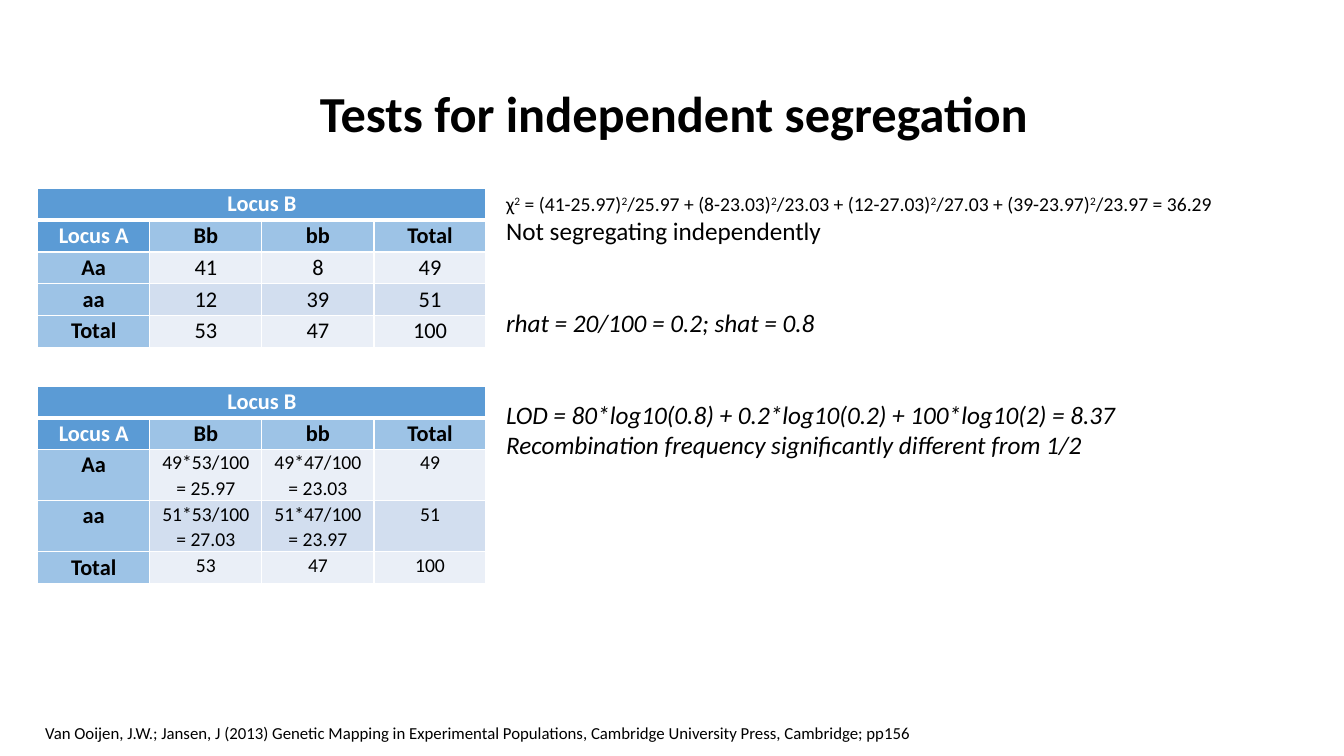
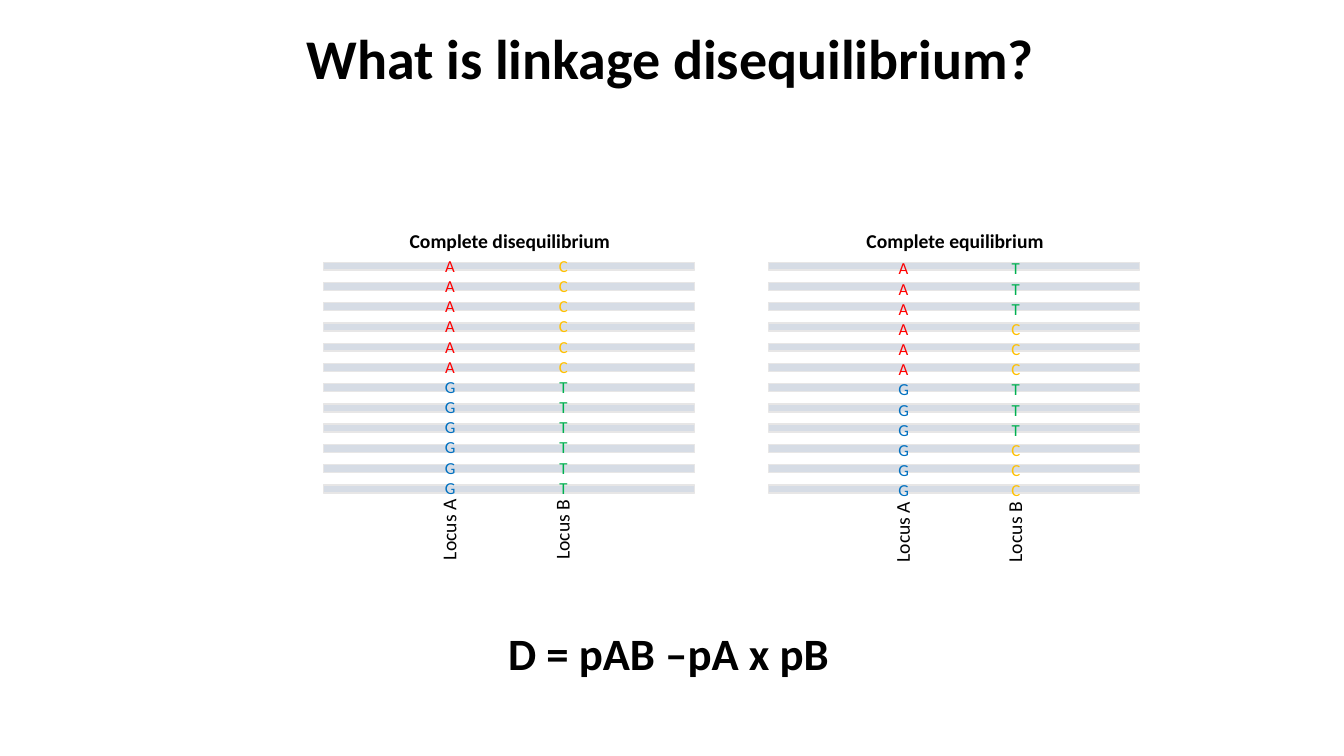
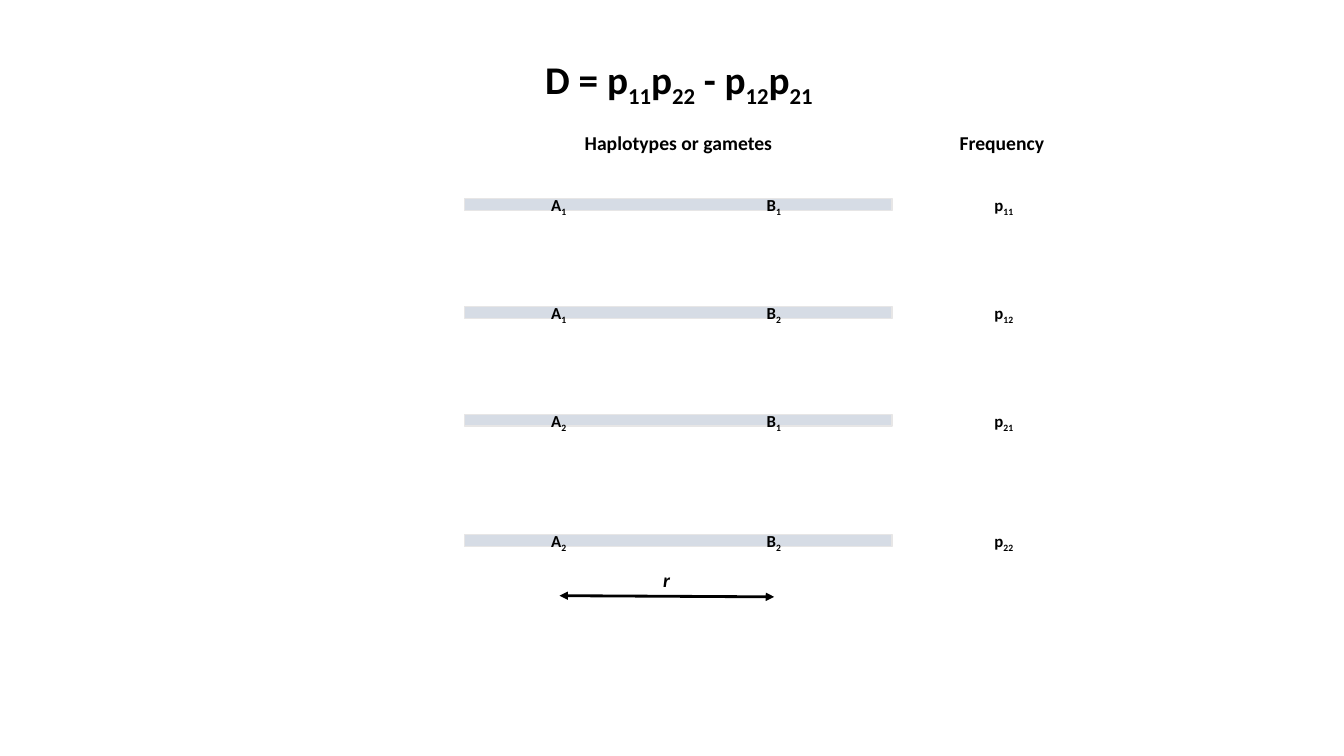
from dataclasses import dataclass, field

from lxml import etree
from pptx import Presentation
from pptx.dml.color import RGBColor
from pptx.enum.shapes import MSO_CONNECTOR, MSO_SHAPE
from pptx.enum.text import MSO_ANCHOR, MSO_AUTO_SIZE, PP_ALIGN
from pptx.oxml.ns import qn
from pptx.util import Cm, Pt

LEFT, CENTER = PP_ALIGN.LEFT, PP_ALIGN.CENTER
TOP, MIDDLE = MSO_ANCHOR.TOP, MSO_ANCHOR.MIDDLE
FIT, FIXED = MSO_AUTO_SIZE.SHAPE_TO_FIT_TEXT, MSO_AUTO_SIZE.NONE
RECT, STRAIGHT = MSO_SHAPE.RECTANGLE, MSO_CONNECTOR.STRAIGHT
TEXT_PAGE, TITLE_PAGE = 1, 5  # layouts: title and content, title only
SUPER, SUB = 30, -25  # raised and lowered text, percent


@dataclass(frozen=True)
class Theme:
    font: str = "Calibri"
    ink: str = "000000"
    white: str = "FFFFFF"
    head: str = "5B9BD5"
    side: str = "9DC3E6"
    bands: tuple = ("EAEFF7", "D2DEEF")
    bar: str = "D6DCE5"
    edge: str = "E7E6E6"
    bases: dict = field(default_factory=lambda: {
        "A": "FF0000", "G": "0070C0", "C": "FFC000", "T": "00B050"})
    small: int = 12
    label: int = 14
    cell: int = 16
    text: int = 18
    lesser: int = 28
    sum: int = 32
    title: int = 36
    major: int = 40


THEME = Theme()


# Text
def write(par, text, size, color=THEME.ink, bold=False, italic=False,
          shift=SUB):
    """Add runs; every second part between bars is raised or lowered."""
    for i, part in enumerate(text.split("|")):
        run = par.add_run()
        run.text = part
        font = run.font
        font.name, font.size = THEME.font, Pt(size)
        font.bold, font.italic = bold, italic
        font.color.rgb = RGBColor.from_string(color)
        if i % 2:
            run._r.get_or_add_rPr().set("baseline", str(shift * 1000))


def place(shape, x, y, w, h):
    shape.left, shape.top, shape.width, shape.height = map(Cm, (x, y, w, h))


def add_title(slide, text, size, box):
    title = slide.shapes.title
    place(title, *box)
    frame = title.text_frame
    frame.auto_size, frame.word_wrap = FIXED, False
    frame.vertical_anchor = MIDDLE
    par = frame.paragraphs[0]
    par.alignment = CENTER
    write(par, text, size, bold=True)


def add_body(slide, lines, box):
    """Fill the body with unmarked lines: text, size, italic, space before."""
    body = slide.placeholders[1]
    place(body, *box)
    frame = body.text_frame
    frame.auto_size, frame.word_wrap = FIXED, True
    frame.vertical_anchor = TOP
    for i, (text, size, italic, gap) in enumerate(lines):
        par = frame.add_paragraph() if i else frame.paragraphs[0]
        props = par._p.get_or_add_pPr()
        props.set("marL", "0")
        props.set("indent", "0")
        etree.SubElement(props, qn("a:buNone"))
        par.space_before = Pt(gap)
        write(par, text, size, italic=italic, shift=SUPER)


def add_box(shapes, box, align=CENTER):
    shape = shapes.add_textbox(*map(Cm, box))
    frame = shape.text_frame
    frame.word_wrap, frame.auto_size = False, FIT
    frame.paragraphs[0].alignment = align
    return shape


def add_label(shapes, text, box, size=THEME.label, align=CENTER, turn=0,
              **style):
    shape = add_box(shapes, box, align)
    shape.rotation = turn
    write(shape.text_frame.paragraphs[0], text, size, **style)


# Shapes
def add_bar(shapes, x, y, w, h):
    bar = shapes.add_shape(RECT, *map(Cm, (x, y, w, h)))
    bar.shadow.inherit = False
    bar.fill.solid()
    bar.fill.fore_color.rgb = RGBColor.from_string(THEME.bar)
    bar.line.color.rgb = RGBColor.from_string(THEME.edge)
    bar.line.width = Pt(1)


def add_arrow(shapes, *ends):
    """Draw a line with an arrowhead at both ends."""
    arrow = shapes.add_connector(STRAIGHT, *map(Cm, ends))
    arrow.line.color.rgb = RGBColor.from_string(THEME.ink)
    arrow.line.width = Pt(2)
    line = arrow.get_or_add_ln()
    for end in ("a:headEnd", "a:tailEnd"):
        etree.SubElement(line, qn(end), type="triangle")
    etree.SubElement(arrow._element.spPr, qn("a:effectLst"))


# Table
def set_edges(cell, row):
    props = cell._tc.get_or_add_tcPr()
    thick = {("a:lnB", 0), ("a:lnT", 1)}  # rule under the head row
    for side in ("a:lnL", "a:lnR", "a:lnT", "a:lnB"):
        width = Pt(3 if (side, row) in thick else 1)
        line = etree.SubElement(props, qn(side), w=str(width))
        fill = etree.SubElement(line, qn("a:solidFill"))
        etree.SubElement(fill, qn("a:srgbClr"), val=THEME.white)


def add_cross(slide, y, rows, highs, size):
    """Add a two-locus table whose data cells have the given type size."""
    grid = [["Locus B", "", "", ""], ["Locus A", "Bb", "bb", "Total"], *rows]
    table = slide.shapes.add_table(
        len(grid), 4, *map(Cm, (0.95, y, 11.3, sum(highs)))).table
    table.horz_banding = table.first_row = False
    for row, high in zip(table.rows, highs):
        row.height = Cm(high)
    for r, texts in enumerate(grid):
        for c, text in enumerate(texts):
            cell = table.cell(r, c)
            top = r == 0 or (r, c) == (1, 0)
            head = r < 2 or c == 0
            fill = (THEME.head if top else THEME.side if head
                    else THEME.bands[r % 2])
            set_edges(cell, r)
            cell.fill.solid()
            cell.fill.fore_color.rgb = RGBColor.from_string(fill)
            cell.margin_left = cell.margin_right = Cm(0.18)
            cell.margin_top = cell.margin_bottom = 0
            par = cell.text_frame.paragraphs[0]
            par.alignment, par.line_spacing = CENTER, 1.07
            if text:
                write(par, text, THEME.cell if head else size,
                      THEME.white if top else THEME.ink, head)
    table.cell(0, 0).merge(table.cell(0, 3))


# Haplotype panel
def add_panel(slide, name, x, y, loci):
    """Draw twelve bars crossed by two columns of alleles."""
    shapes = slide.shapes.add_group_shape().shapes
    for i in range(12):
        add_bar(shapes, x, 6.61 + 0.51 * i, 9.35, 0.2)
    for locus, (mid, bases) in zip("AB", loci):
        column = add_box(shapes, (mid - 0.38, y, 0.76, 6.4)).text_frame
        for i, base in enumerate(bases):
            par = column.add_paragraph() if i else column.paragraphs[0]
            par.alignment = CENTER
            write(par, base, THEME.small, THEME.bases[base])
        add_label(shapes, f"Locus {locus}",
                  (mid - 1.06, y + 6.6, 2.06, 0.86), turn=270)
    add_label(shapes, name, (x + 1.9, 5.64, 5.6, 0.86), bold=True)


# Slides
def build_tests(deck):
    slide = deck.slides.add_slide(deck.slide_layouts[TEXT_PAGE])
    add_title(slide, "Tests for independent segregation", THEME.title,
              (3.3, 1.94, 27.38, 1.8))
    add_cross(slide, 4.75, [
        ["Aa", "41", "8", "49"],
        ["aa", "12", "39", "51"],
        ["Total", "53", "47", "100"],
    ], [0.8] * 5, THEME.cell)
    add_cross(slide, 9.73, [
        ["Aa", "49*53/100 = 25.97", "49*47/100 = 23.03", "49"],
        ["aa", "51*53/100 = 27.03", "51*47/100 = 23.97", "51"],
        ["Total", "53", "47", "100"],
    ], [0.8, 0.8, 1.23, 1.23, 0.8], THEME.label)
    add_body(slide, [
        ("χ|2| = (41-25.97)|2|/25.97 + (8-23.03)|2|/23.03 + "
         "(12-27.03)|2|/27.03 + (39-23.97)|2|/23.97 = 36.29",
         THEME.label, False, 0),
        ("Not segregating independently", THEME.text, False, 0),
        ("rhat = 20/100 = 0.2; shat = 0.8", THEME.text, True, 44),
        ("LOD = 80*log10(0.8) + 0.2*log10(0.2) + 100*log10(2) = 8.37",
         THEME.text, True, 44),
        ("Recombination frequency significantly different from 1/2",
         THEME.text, True, 0),
    ], (12.5, 4.71, 18.54, 7.77))
    add_label(slide.shapes, "Van Ooijen, J.W.; Jansen, J (2013) Genetic "
              "Mapping in Experimental Populations, Cambridge University "
              "Press, Cambridge; pp156", (0.89, 18.08, 22.45, 0.76),
              THEME.small, LEFT)


def build_linkage(deck):
    slide = deck.slides.add_slide(deck.slide_layouts[TITLE_PAGE])
    add_title(slide, "What is linkage disequilibrium?", THEME.major,
              (7.37, 0.46, 19.05, 1.96))
    add_label(slide.shapes, "D = pAB –pA x pB", (12.4, 15.65, 8.9, 1.63),
              THEME.sum, bold=True)
    first = "A" * 6 + "G" * 6
    add_panel(slide, "Complete disequilibrium", 8.15, 6.32,
              [(11.34, first), (14.2, "C" * 6 + "T" * 6)])
    add_panel(slide, "Complete equilibrium", 19.37, 6.38,
              [(22.77, first), (25.6, "TTTCCC" * 2)])


def build_gametes(deck):
    slide = deck.slides.add_slide(deck.slide_layouts[TITLE_PAGE])
    shapes = slide.shapes
    add_title(slide, "D = p|11|p|22| - p|12|p|21", THEME.lesser,
              (13.26, 1.35, 7.7, 1.45))
    add_label(shapes, "Haplotypes or gametes", (14.25, 3.18, 5.7, 0.86),
              bold=True)
    add_label(shapes, "Frequency", (23.75, 3.18, 3, 0.86), bold=True)
    for y, a, b in ((5, 1, 1), (7.72, 1, 2), (10.44, 2, 1), (13.47, 2, 2)):
        add_bar(shapes, 11.71, y, 10.77, 0.3)
        for text, mid in ((f"A|{a}", 14.08), (f"B|{b}", 19.5),
                          (f"p|{a}{b}", 25.3)):
            add_label(shapes, text, (mid - 0.75, y - 0.22, 1.5, 0.76),
                      THEME.small, bold=True)
    add_arrow(shapes, 14.1, 15.01, 19.51, 15.04)
    add_label(shapes, "r", (16.3, 14.18, 1, 0.86), bold=True, italic=True)


def main():
    deck = Presentation()
    deck.slide_width, deck.slide_height = Cm(33.87), Cm(19.05)
    build_tests(deck)
    build_linkage(deck)
    build_gametes(deck)
    deck.save("out.pptx")


if __name__ == "__main__":
    main()
